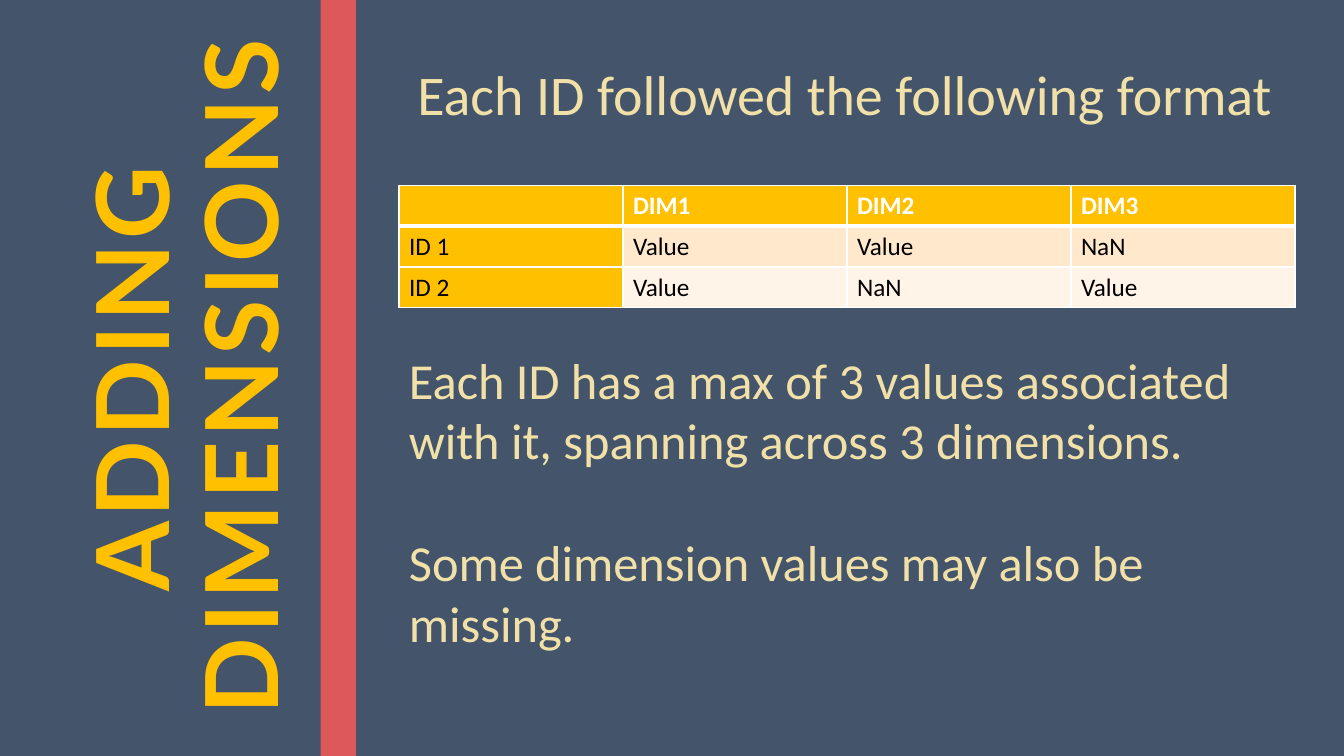
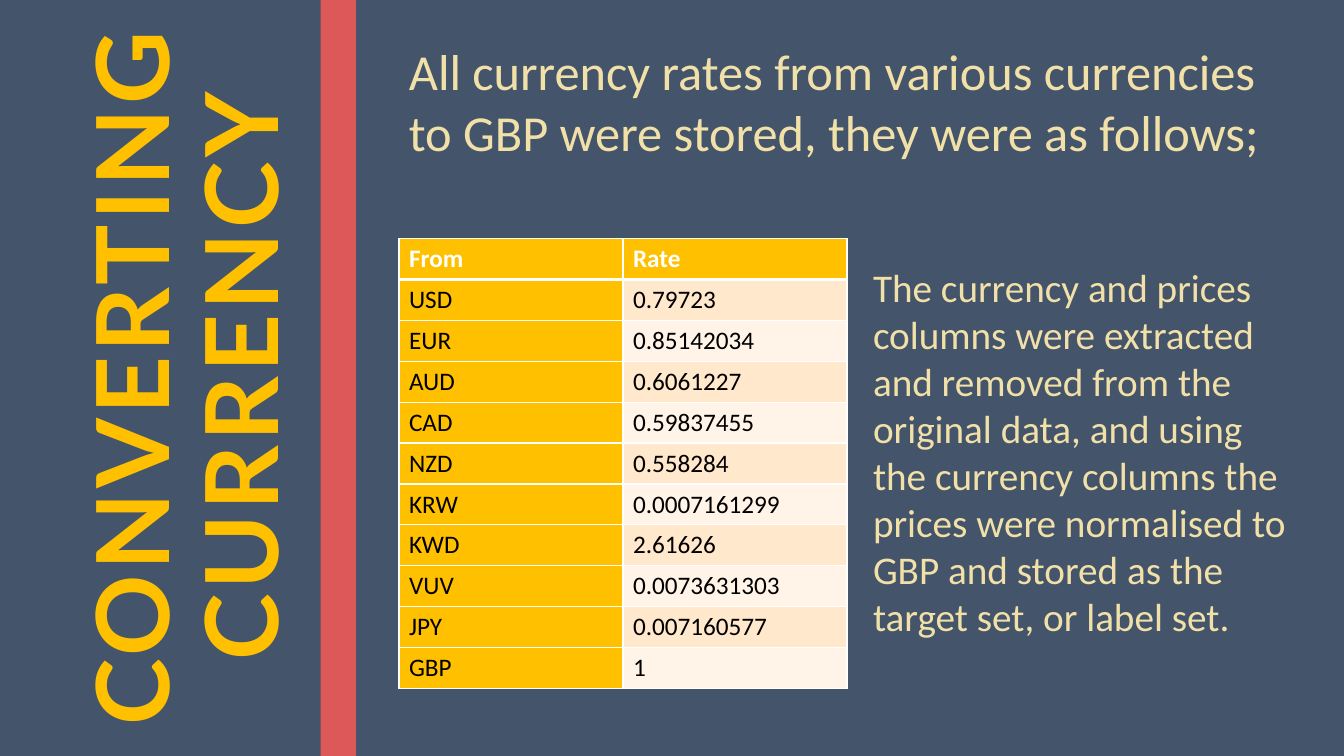
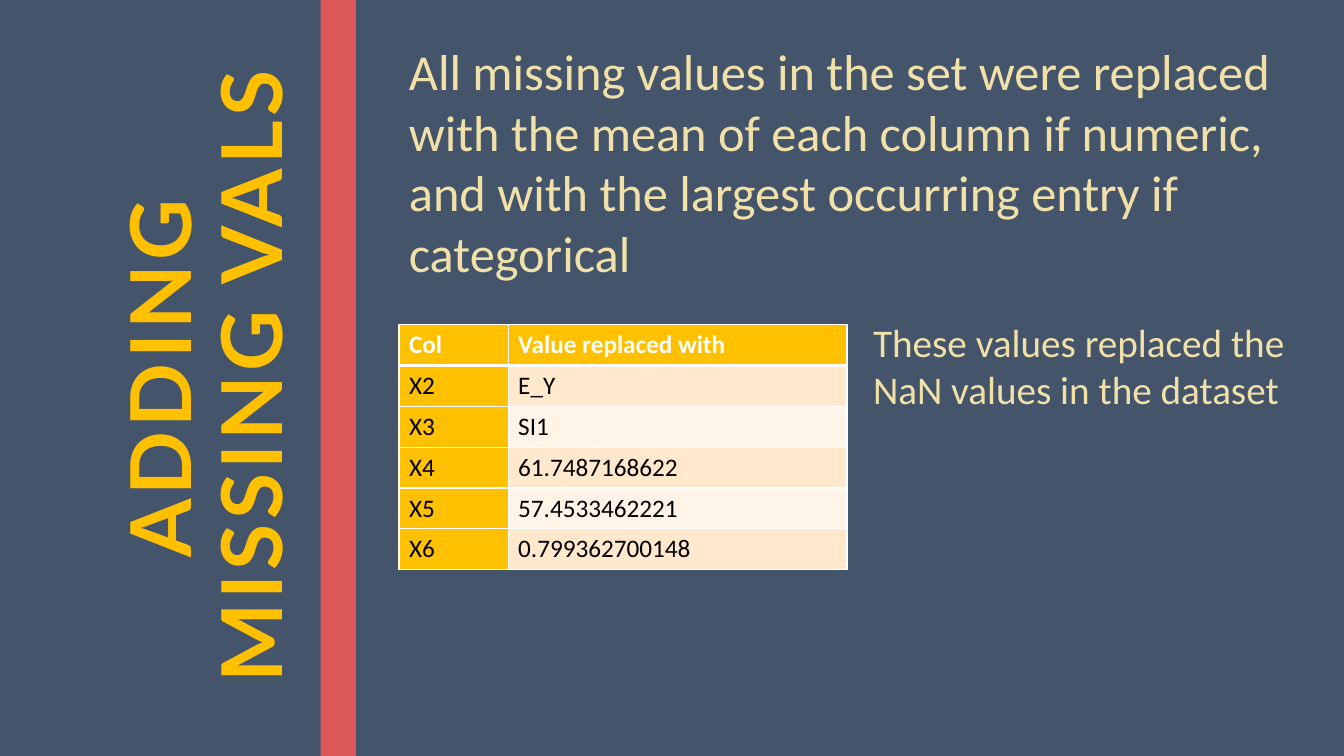
"""Build three data-preparation slides with a vertical title, a table and commentary."""
import pptx
import pptx.dml.color
import pptx.enum.shapes
import pptx.enum.text
import pptx.oxml
import pptx.oxml.ns
import pptx.util

Pt = pptx.util.Pt
RGBColor = pptx.dml.color.RGBColor

SLATE = RGBColor(0x44, 0x54, 0x6A)
CORAL = RGBColor(0xDD, 0x59, 0x59)
GOLD = RGBColor(0xFF, 0xC0, 0x00)
CREAM = RGBColor(0xF1, 0xE1, 0xA9)
PEACH = RGBColor(0xFF, 0xE8, 0xCC)
PALE_PEACH = RGBColor(0xFF, 0xF4, 0xE7)
WHITE = RGBColor(0xFF, 0xFF, 0xFF)
BLACK = RGBColor(0x00, 0x00, 0x00)

SLIDE_WIDTH, SLIDE_HEIGHT = 960, 540
CONTENT_LEFT, CONTENT_WIDTH = 285, 648
ASIDE_LEFT, ASIDE_WIDTH = 616.5, 320
ROW_HEIGHT = 29.2

PAGES = [
    {
        "title": ["ADDING", "DIMENSIONS"],
        "title_size": 72,
        "passages": [
            (291, 39, CONTENT_WIDTH, 55.5, 40, ["Each ID followed the following format"]),
            (CONTENT_LEFT, 245.5, CONTENT_WIDTH, 225.5, 36, [
                "Each ID has a max of 3 values associated with it, spanning across 3 dimensions.",
                "Some dimension values may also be missing.",
            ]),
        ],
        "table_top": 132.3,
        "columns": [160] * 4,
        "rows": [
            ["", "DIM1", "DIM2", "DIM3"],
            ["ID 1", "Value", "Value", "NaN"],
            ["ID 2", "Value", "NaN", "Value"],
        ],
    },
    {
        "title": ["CONVERTING", "CURRENCY"],
        "title_size": 72,
        "passages": [
            (CONTENT_LEFT, 25.2, CONTENT_WIDTH, 181.5, 36, [
                "All currency rates from various currencies to GBP were stored, "
                "they were as follows;",
            ]),
            (ASIDE_LEFT, 184.5, ASIDE_WIDTH, 278.5, 28, [
                "The currency and prices columns were extracted and removed from the "
                "original data, and using the currency columns the prices were normalised "
                "to GBP and stored as the target set, or label set.",
            ]),
        ],
        "table_top": 170.5,
        "columns": [160] * 2,
        "rows": [
            ["From", "Rate"],
            ["USD", "0.79723"],
            ["EUR", "0.85142034"],
            ["AUD", "0.6061227"],
            ["CAD", "0.59837455"],
            ["NZD", "0.558284"],
            ["KRW", "0.0007161299"],
            ["KWD", "2.61626"],
            ["VUV", "0.0073631303"],
            ["JPY", "0.007160577"],
            ["GBP", "1"],
        ],
    },
    {
        "title": ["ADDING", "MISSING VALS"],
        "title_size": 60,
        "passages": [
            (CONTENT_LEFT, 25.2, CONTENT_WIDTH, 269.5, 36, [
                "All missing values in the set were replaced with the mean of each column "
                "if numeric, and with the largest occurring entry if categorical",
            ]),
            (ASIDE_LEFT, 224, ASIDE_WIDTH, 75, 28, [
                "These values replaced the NaN values in the dataset",
            ]),
        ],
        "table_top": 231.8,
        "columns": [78, 242],
        "rows": [
            ["Col", "Value replaced with"],
            ["X2", "E_Y"],
            ["X3", "SI1"],
            ["X4", "61.7487168622"],
            ["X5", "57.4533462221"],
            ["X6", "0.799362700148"],
        ],
    },
]


def add_text(paragraph, text, size, color, font="Calibri", bold=False):
    """Append one formatted run and return it."""
    run = paragraph.add_run()
    run.text = text
    run.font.name = font
    run.font.size = Pt(size)
    run.font.bold = bold
    run.font.color.rgb = color
    return run


def add_border(cell, side, width):
    """Draw a white border on one side of a cell."""
    cell._tc.get_or_add_tcPr().append(pptx.oxml.parse_xml(
        f'<a:ln{side} {pptx.oxml.ns.nsdecls("a")} w="{Pt(width)}">'
        f'<a:solidFill><a:srgbClr val="{WHITE}"/></a:solidFill></a:ln{side}>'
    ))


deck = pptx.Presentation()
deck.slide_width, deck.slide_height = Pt(SLIDE_WIDTH), Pt(SLIDE_HEIGHT)
deck.slide_master.background.fill.solid()
deck.slide_master.background.fill.fore_color.rgb = SLATE

for page in PAGES:
    slide = deck.slides.add_slide(deck.slide_layouts[6])

    band = slide.shapes.add_shape(
        pptx.enum.shapes.MSO_SHAPE.RECTANGLE, Pt(229), Pt(0), Pt(25.2), Pt(SLIDE_HEIGHT))
    band.shadow.inherit = False
    band.fill.solid()
    band.fill.fore_color.rgb = CORAL
    band.line.fill.background()

    title = slide.shapes.add_textbox(Pt(-236), Pt(175), Pt(720), Pt(188))
    title.rotation = 270
    title.text_frame.word_wrap = True
    title.text_frame.vertical_anchor = pptx.enum.text.MSO_ANCHOR.BOTTOM
    heading = title.text_frame.paragraphs[0]
    heading.alignment = pptx.enum.text.PP_ALIGN.CENTER
    heading.line_spacing = 0.9
    for index, line in enumerate(page["title"]):
        if index:
            heading.add_line_break()
        word = add_text(heading, line, page["title_size"], GOLD, "Lato", True)
        word.font._element.set("spc", "300")

    for left, top, width, height, size, paragraphs in page["passages"]:
        passage = slide.shapes.add_textbox(Pt(left), Pt(top), Pt(width), Pt(height))
        frame = passage.text_frame
        frame.word_wrap = True
        for index, text in enumerate(paragraphs):
            paragraph = frame.add_paragraph() if index else frame.paragraphs[0]
            if index:
                paragraph.space_before = Pt(44)
            add_text(paragraph, text, size, CREAM)

    rows, columns = page["rows"], page["columns"]
    table = slide.shapes.add_table(
        len(rows), len(columns), Pt(CONTENT_LEFT), Pt(page["table_top"]),
        Pt(sum(columns)), Pt(ROW_HEIGHT * len(rows))).table
    for column, width in zip(table.columns, columns):
        column.width = Pt(width)
    for r, values in enumerate(rows):
        table.rows[r].height = Pt(ROW_HEIGHT)
        for c, value in enumerate(values):
            cell = table.cell(r, c)
            is_header = r == 0
            for side in "LRTB":
                under_header = (r, side) in [(0, "B"), (1, "T")]
                add_border(cell, side, 3 if under_header else 1)
            cell.fill.solid()
            if is_header or c == 0:
                cell.fill.fore_color.rgb = GOLD
            else:
                cell.fill.fore_color.rgb = PEACH if r % 2 else PALE_PEACH
            if not is_header:
                cell.vertical_anchor = pptx.enum.text.MSO_ANCHOR.MIDDLE
            if value:
                add_text(cell.text_frame.paragraphs[0], value, 18,
                         WHITE if is_header else BLACK, bold=is_header)

deck.save("out.pptx")
